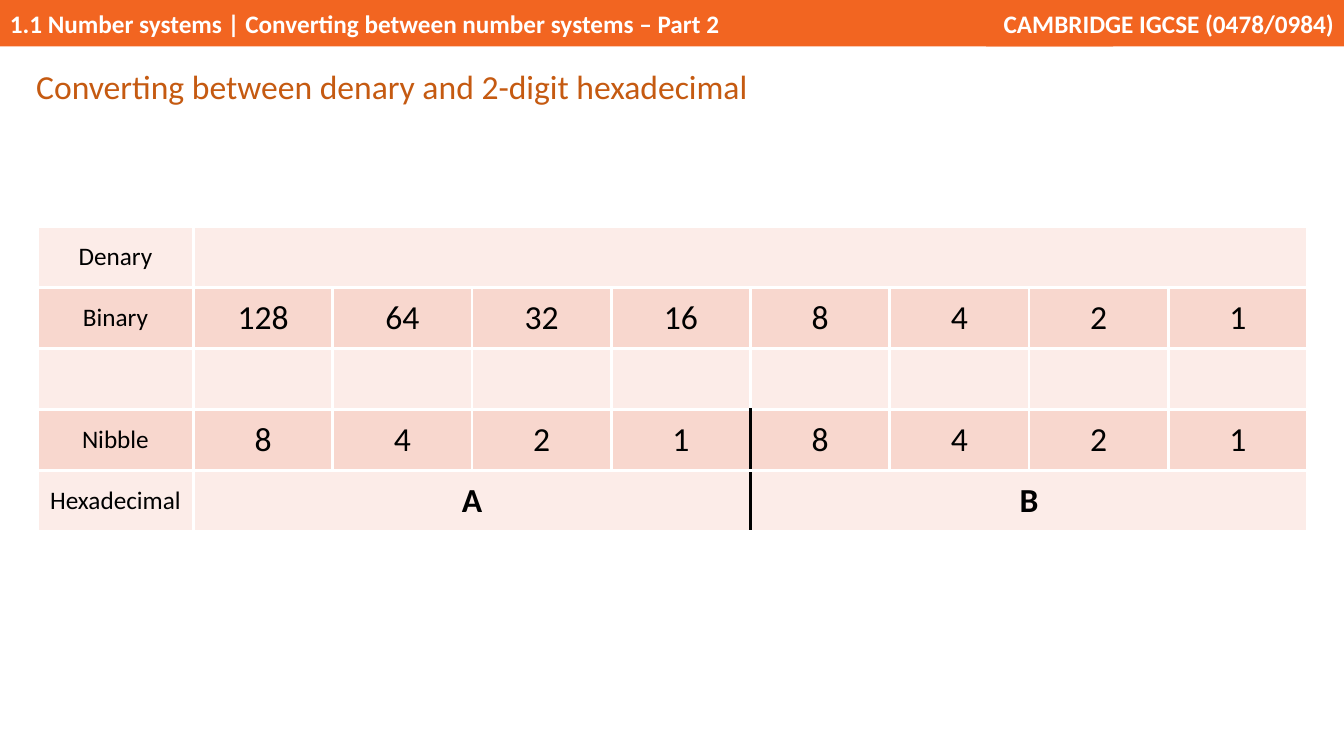
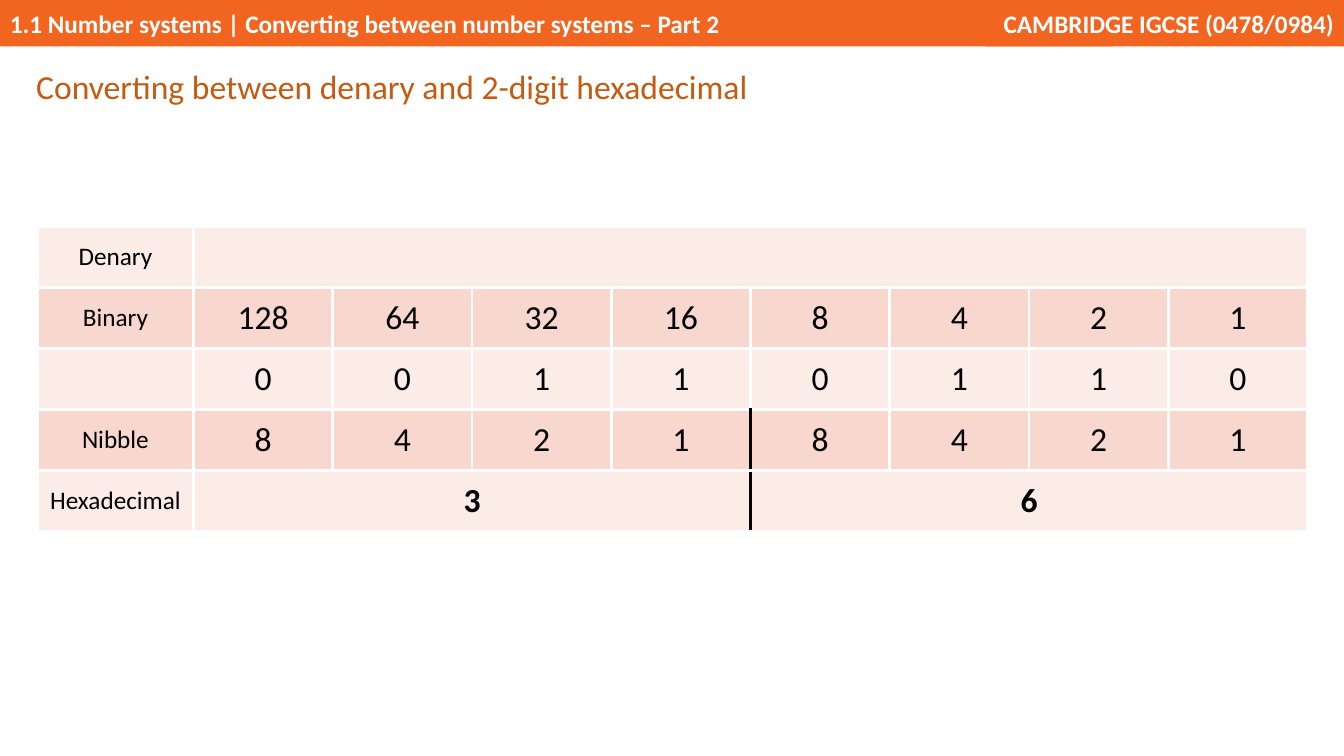
import lxml.etree
import pptx
import pptx.dml.color
import pptx.enum.shapes
import pptx.enum.text
import pptx.oxml.ns
import pptx.util

Inches, Pt = pptx.util.Inches, pptx.util.Pt
RGBColor = pptx.dml.color.RGBColor
ALIGN = pptx.enum.text.PP_ALIGN
MIDDLE = pptx.enum.text.MSO_ANCHOR.MIDDLE

ORANGE = RGBColor(0xF2, 0x65, 0x21)
RUST = RGBColor(0xC5, 0x5A, 0x11)
PALE = RGBColor(0xFC, 0xEC, 0xE8)
PINK = RGBColor(0xF8, 0xD7, 0xCE)
WHITE = RGBColor(0xFF, 0xFF, 0xFF)
BLACK = RGBColor(0x00, 0x00, 0x00)

BAND_FORMAT = {"size": Pt(18), "bold": True}
TITLE_FORMAT = {"size": Pt(24), "bold": False}
LABEL_FORMAT = {"size": Pt(18), "bold": False}
DIGIT_FORMAT = {"size": Pt(24), "bold": False}
HEX_FORMAT = {"size": Pt(24), "bold": True}

BANDS = [
    ("1.1 Number systems | Converting between number systems – Part 2", 0, 11.04, ALIGN.LEFT),
    ("CAMBRIDGE IGCSE (0478/0984)", 9.78, 3.55, ALIGN.RIGHT),
]
BAND_HEIGHT = 0.46
TITLE = "Converting between denary and 2-digit hexadecimal"

ROW_LABELS = ["Denary", "Binary", "", "Nibble", "Hexadecimal"]
BITS = 8
NIBBLE = BITS // 2
BINARY_ROW, BITS_ROW, NIBBLE_ROW, HEX_ROW = 1, 2, 3, 4
TABLE_LEFT, TABLE_TOP, TABLE_WIDTH, TABLE_HEIGHT = 0.37, 2.25, 12.6, 3.02
LABEL_WIDTH = 1.55
BIT_WIDTH = (TABLE_WIDTH - LABEL_WIDTH) / BITS

EXERCISES = [("", "AB"), ("00110110", "36")]


def write(frame, text, align, color, text_format):
    para = frame.paragraphs[0]
    para.alignment = align
    span = para.add_run()
    span.text = text
    span.font.name = "Calibri"
    span.font.color.rgb = color
    for name, value in text_format.items():
        setattr(span.font, name, value)
    return para


def add_borders(cell, colors):
    """Draw the four cell edges; colors maps each of L, R, T, B to a colour."""
    properties = cell._tc.get_or_add_tcPr()
    for side, color in colors.items():
        line = lxml.etree.SubElement(
            properties, pptx.oxml.ns.qn(f"a:ln{side}"), w=str(Pt(2.25)))
        fill = lxml.etree.SubElement(line, pptx.oxml.ns.qn("a:solidFill"))
        lxml.etree.SubElement(fill, pptx.oxml.ns.qn("a:srgbClr"), val=str(color))


deck = pptx.Presentation()
deck.slide_width, deck.slide_height = Inches(13.33), Inches(7.5)
blank_layout = deck.slide_layouts[6]

for bits, hex_digits in EXERCISES:
    page = deck.slides.add_slide(blank_layout)

    for text, left, width, align in BANDS:
        band = page.shapes.add_shape(
            pptx.enum.shapes.MSO_SHAPE.RECTANGLE,
            Inches(left), 0, Inches(width), Inches(BAND_HEIGHT))
        band.shadow.inherit = False
        band.fill.solid()
        band.fill.fore_color.rgb = ORANGE
        band.line.fill.background()
        band.text_frame.vertical_anchor = MIDDLE
        write(band.text_frame, text, align, WHITE, BAND_FORMAT)

    table = page.shapes.add_table(
        len(ROW_LABELS), BITS + 1, Inches(TABLE_LEFT), Inches(TABLE_TOP),
        Inches(TABLE_WIDTH), Inches(TABLE_HEIGHT)).table
    table.first_row = table.horz_banding = False
    for index, column in enumerate(table.columns):
        column.width = Inches(BIT_WIDTH if index else LABEL_WIDTH)

    table.cell(0, 1).merge(table.cell(0, BITS))
    for first in (1, NIBBLE + 1):
        table.cell(HEX_ROW, first).merge(table.cell(HEX_ROW, first + NIBBLE - 1))

    contents = {(row, 0): (label, LABEL_FORMAT) for row, label in enumerate(ROW_LABELS)}
    for bit in range(BITS):
        power = BITS - 1 - bit
        contents[BINARY_ROW, bit + 1] = (str(2 ** power), DIGIT_FORMAT)
        contents[NIBBLE_ROW, bit + 1] = (str(2 ** (power % NIBBLE)), DIGIT_FORMAT)
    for index, bit in enumerate(bits):
        contents[BITS_ROW, index + 1] = (bit, DIGIT_FORMAT)
    for index, digit in enumerate(hex_digits):
        contents[HEX_ROW, index * NIBBLE + 1] = (digit, HEX_FORMAT)

    for row in range(len(ROW_LABELS)):
        for column in range(BITS + 1):
            cell = table.cell(row, column)
            last = column + (cell.span_width if cell.is_merge_origin else 1) - 1
            edges = dict.fromkeys("LRTB", WHITE)
            if row >= NIBBLE_ROW:
                if last == NIBBLE:
                    edges["R"] = BLACK
                if column == NIBBLE + 1:
                    edges["L"] = BLACK
            add_borders(cell, edges)
            cell.fill.solid()
            cell.fill.fore_color.rgb = PINK if row % 2 else PALE
            cell.vertical_anchor = MIDDLE
            text, text_format = contents.get((row, column), ("", None))
            if text:
                write(cell.text_frame, text, ALIGN.CENTER, BLACK, text_format)

    title_box = page.shapes.add_textbox(Inches(0.26), Inches(0.58), Inches(7.42), Inches(0.51))
    title_box.text_frame.word_wrap = True
    title = write(title_box.text_frame, TITLE, ALIGN.LEFT, RUST, TITLE_FORMAT)
    title.line_spacing = 1.07
    title.space_after = Pt(8)

deck.save("out.pptx")
